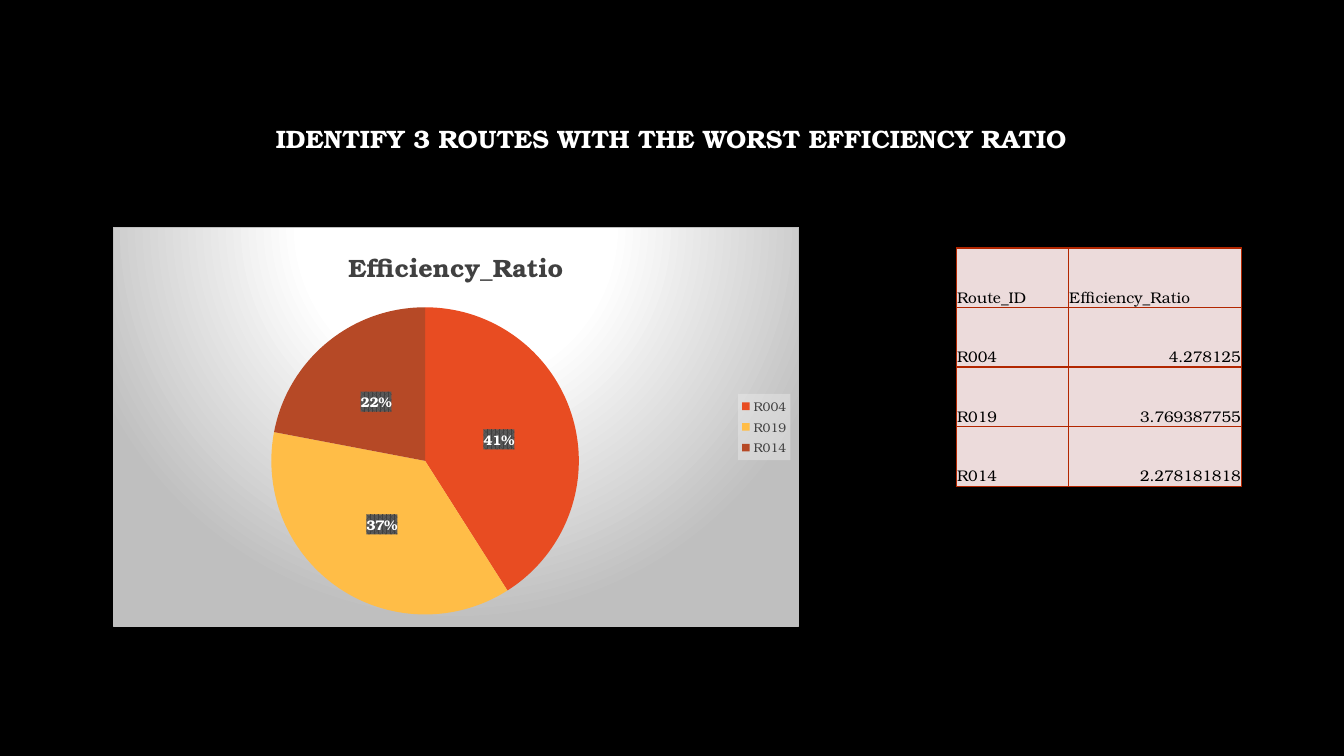
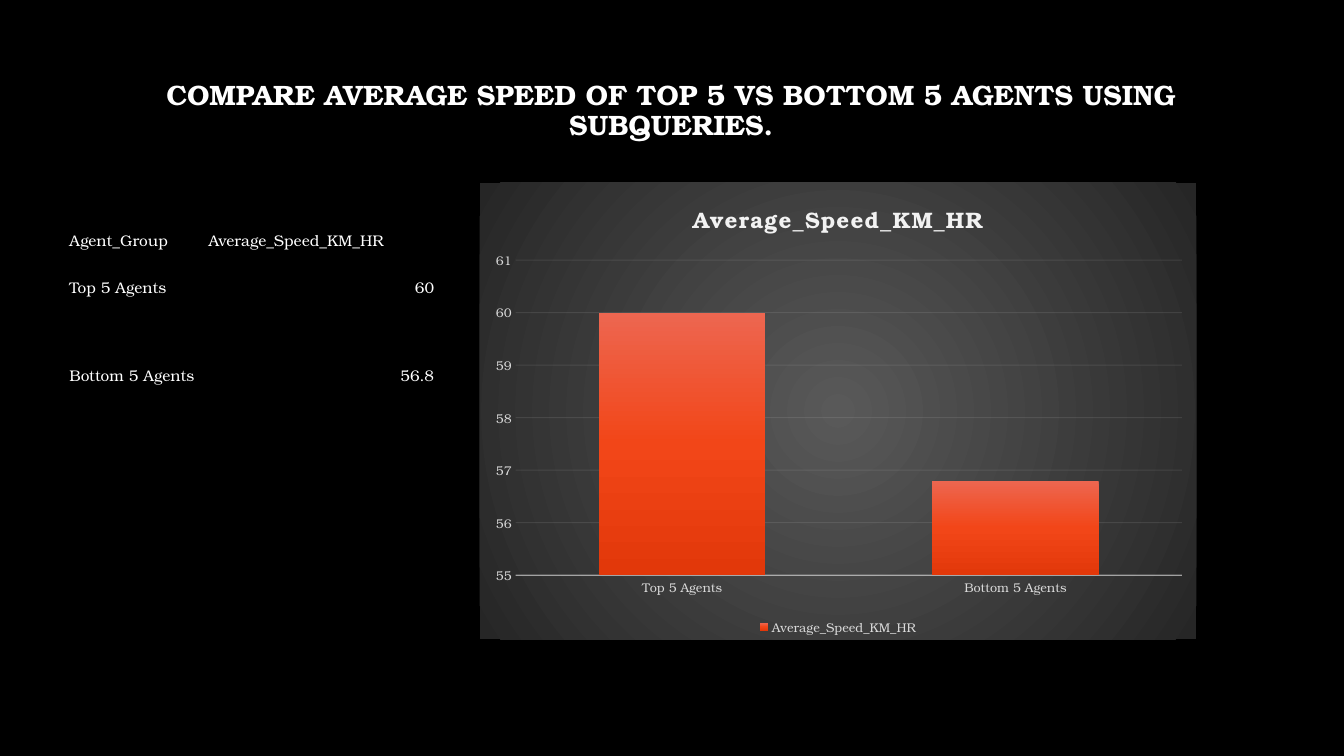
from lxml import etree
from pptx import Presentation
from pptx.chart.data import CategoryChartData
from pptx.dml.color import RGBColor
from pptx.enum import chart as ch, text
from pptx.oxml import ns, parse_xml
from pptx.util import Cm, Pt

FONT = "TeX Gyre Bonum"
BLACK = RGBColor(0x00, 0x00, 0x00)
WHITE = RGBColor(0xFF, 0xFF, 0xFF)
CHARCOAL = RGBColor(0x40, 0x40, 0x40)
SLATE = RGBColor(0x59, 0x59, 0x59)
NIGHT = RGBColor(0x26, 0x26, 0x26)
SILVER = RGBColor(0xBF, 0xBF, 0xBF)
LIGHT = RGBColor(0xD9, 0xD9, 0xD9)
PALE = RGBColor(0xF2, 0xF2, 0xF2)
PINK = RGBColor(0xEC, 0xDB, 0xDB)
RUST = RGBColor(0xB2, 0x26, 0x00)
SLICES = [RGBColor(0xE8, 0x4C, 0x22), RGBColor(0xFF, 0xBD, 0x47),
          RGBColor(0xB6, 0x49, 0x26)]
BAR_STOPS = [(0, RGBColor(0xED, 0x66, 0x50)), (50, RGBColor(0xF2, 0x46, 0x18)),
             (100, RGBColor(0xE2, 0x38, 0x0A))]
# Chart parts that must come after the shape properties
AFTER_FORMAT = {ns.qn(f"c:{tag}") for tag in (
    "txPr", "dLblPos", "showLegendKey", "crossAx", "externalData",
    "invertIfNegative", "cat")}


# Text
def set_font(font, size, color, bold=False):
    font.name, font.size, font.bold = FONT, Pt(size), bold
    font.color.rgb = color


def add_title(s, title, size, bottom=0.13):
    sp = s.shapes.title
    sp.left, sp.top, sp.width, sp.height = Cm(2.54), Cm(1.7), Cm(28.75), Cm(3.68)
    tf = sp.text_frame
    tf.text = title
    tf.auto_size = text.MSO_AUTO_SIZE.NONE
    tf.vertical_anchor = text.MSO_ANCHOR.MIDDLE
    tf.margin_bottom = Cm(bottom)
    p = tf.paragraphs[0]
    p.alignment, p.line_spacing = text.PP_ALIGN.CENTER, 0.9
    set_font(p.font, size, WHITE, bold=True)


# Tables
def set_borders(cell, color):
    tc_pr = cell._tc.get_or_add_tcPr()
    for side in ("lnL", "lnR", "lnT", "lnB"):
        ln = etree.SubElement(tc_pr, ns.qn(f"a:{side}"), w=str(Pt(1)))
        if color is None:
            etree.SubElement(ln, ns.qn("a:noFill"))
        else:
            fill = etree.SubElement(ln, ns.qn("a:solidFill"))
            etree.SubElement(fill, ns.qn("a:srgbClr"), val=str(color))


def add_table(s, left, top, widths, heights, rows, color, fill=None, border=None):
    table = s.shapes.add_table(len(rows), len(widths), Cm(left), Cm(top),
                               Cm(sum(widths)), Cm(sum(heights))).table
    table.first_row = table.horz_banding = False
    for column, width in zip(table.columns, widths):
        column.width = Cm(width)
    for i, (row, height) in enumerate(zip(rows, heights)):
        table.rows[i].height = Cm(height)
        for j, value in enumerate(row):
            cell = table.cell(i, j)
            set_borders(cell, border)
            if fill is None:
                cell.fill.background()
            else:
                cell.fill.solid()
                cell.fill.fore_color.rgb = fill
            cell.margin_left = cell.margin_right = cell.margin_top = Cm(0.02)
            cell.margin_bottom = 0
            cell.vertical_anchor = text.MSO_ANCHOR.BOTTOM
            cell.text = value
            p = cell.text_frame.paragraphs[0]
            if i and j:
                p.alignment = text.PP_ALIGN.RIGHT
            set_font(p.font, 11, color)


# Chart parts that need XML
def gradient(stops, direction):
    gs = "".join(f'<a:gs pos="{pos * 1000}"><a:srgbClr val="{color}"/></a:gs>'
                 for pos, color in stops)
    return f"<a:gradFill><a:gsLst>{gs}</a:gsLst>{direction}</a:gradFill>"


def radial(stops, top, bottom):
    return gradient(stops, '<a:path path="circle"><a:fillToRect l="50000" r="50000" '
                           f't="{top * 1000}" b="{bottom * 1000}"/></a:path>')


def solid(color, alpha=100):
    return (f'<a:solidFill><a:srgbClr val="{color}"><a:alpha val="{alpha * 1000}"/>'
            "</a:srgbClr></a:solidFill>")


def outline(fill="<a:noFill/>", width=0.75):
    return f'<a:ln w="{Pt(width)}">{fill}</a:ln>'


def add_format(chart, tag, xml):
    """Give the first chart part with this tag its shape properties."""
    part = next(chart.element.iter(ns.qn(tag)))
    for old in part.findall(ns.qn("c:spPr")):
        part.remove(old)
    sp_pr = parse_xml(f'<c:spPr {ns.nsdecls("c", "a")}>{xml}</c:spPr>')
    later = next((child for child in part if child.tag in AFTER_FORMAT), None)
    if later is None:
        part.append(sp_pr)
    else:
        later.addprevious(sp_pr)


def set_plot_layout(chart, x, y, w, h):
    plot_area = next(chart.element.iter(ns.qn("c:plotArea")))
    for old in plot_area.findall(ns.qn("c:layout")):
        plot_area.remove(old)
    layout = etree.Element(ns.qn("c:layout"))
    manual = etree.SubElement(layout, ns.qn("c:manualLayout"))
    for tag, value in (("layoutTarget", "inner"), ("xMode", "edge"), ("yMode", "edge"),
                       ("x", x), ("y", y), ("w", w), ("h", h)):
        etree.SubElement(manual, ns.qn(f"c:{tag}"), val=str(value))
    plot_area.insert(0, layout)


# Charts
def add_chart(s, kind, box, name, cats, vals, title_size, title_color,
              legend_pos, legend_color):
    data = CategoryChartData()
    data.categories = cats
    data.add_series(name, vals)
    chart = s.shapes.add_chart(kind, *map(Cm, box), data).chart
    set_font(chart.font, 10, WHITE)
    chart.has_title = True
    p = chart.chart_title.text_frame.paragraphs[0]
    r = p.add_run()
    r.text = name
    set_font(r.font, title_size, title_color, bold=True)
    chart.has_legend = True
    chart.legend.position = legend_pos
    chart.legend.include_in_layout = False
    set_font(chart.legend.font, 9, legend_color)
    return chart


def add_pie(s, box, name, cats, vals):
    chart = add_chart(s, ch.XL_CHART_TYPE.PIE, box, name, cats, vals, 18, CHARCOAL,
                      ch.XL_LEGEND_POSITION.RIGHT, CHARCOAL)
    series = chart.plots[0].series[0]
    for i, color in enumerate(SLICES):
        fill = series.points[i].format.fill
        fill.solid()
        fill.fore_color.rgb = color
    labels = series.data_labels
    labels.show_percentage, labels.show_value = True, False
    labels.number_format, labels.number_format_is_linked = "0%", False
    labels.position = ch.XL_LABEL_POSITION.CENTER
    set_font(labels.font, 10, WHITE, bold=True)
    add_format(chart, "c:dLbls",
               f'<a:pattFill prst="pct75"><a:fgClr><a:srgbClr val="{CHARCOAL}"/></a:fgClr>'
               f'<a:bgClr><a:srgbClr val="{SLATE}"/></a:bgClr></a:pattFill>' + outline())
    add_format(chart, "c:legend", solid(PALE, 39) + outline())
    add_format(chart, "c:chartSpace",
               radial([(0, WHITE), (39, WHITE), (100, SILVER)], -80, 180)
               + outline(solid(SILVER)))
    set_plot_layout(chart, 0.23, 0.2, 0.45, 0.77)


def add_columns(s, box, name, cats, vals):
    chart = add_chart(s, ch.XL_CHART_TYPE.COLUMN_CLUSTERED, box, name, cats, vals, 16, PALE,
                      ch.XL_LEGEND_POSITION.BOTTOM, LIGHT)
    title = next(chart.element.iter(ns.qn("c:title")))
    next(title.iter(ns.qn("a:rPr"))).set("spc", "100")
    plot = chart.plots[0]
    plot.vary_by_categories = False
    plot.gap_width, plot.overlap = 100, -24
    add_format(chart, "c:ser", gradient(BAR_STOPS, '<a:lin ang="5400000" scaled="0"/>'))
    for axis in (chart.category_axis, chart.value_axis):
        axis.major_tick_mark = axis.minor_tick_mark = ch.XL_TICK_MARK.NONE
        set_font(axis.tick_labels.font, 9, LIGHT)
    axis = chart.value_axis
    axis.minimum_scale, axis.maximum_scale, axis.major_unit = 55, 61, 1
    axis.has_major_gridlines = True
    add_format(chart, "c:majorGridlines", outline(solid(PALE, 10)))
    add_format(chart, "c:valAx", outline())
    add_format(chart, "c:catAx", outline(solid(PALE, 54), 1))
    add_format(chart, "c:chartSpace", radial([(0, SLATE), (100, NIGHT)], 50, 50) + outline())
    set_plot_layout(chart, 0.05, 0.17, 0.93, 0.69)


def main():
    prs = Presentation()
    prs.slide_width, prs.slide_height = Cm(33.87), Cm(19.05)
    background = prs.slide_master.background.fill
    background.solid()
    background.fore_color.rgb = BLACK
    title_only = prs.slide_layouts[5]

    # Worst routes
    s = prs.slides.add_slide(title_only)
    add_title(s, "IDENTIFY 3 ROUTES WITH THE WORST EFFICIENCY RATIO", 18)
    add_table(s, 24.1, 6.25, [2.82, 4.37], [1.5] * 4,
              [("Route_ID", "Efficiency_Ratio"), ("R004", "4.278125"),
               ("R019", "3.769387755"), ("R014", "2.278181818")],
              BLACK, PINK, RUST)
    add_pie(s, (2.84, 5.72, 17.3, 10.08), "Efficiency_Ratio",
            ["R004", "R019", "R014"], [41, 37, 22])

    # Agent speeds
    s = prs.slides.add_slide(title_only)
    add_title(s, "COMPARE AVERAGE SPEED OF TOP 5 VS BOTTOM 5 AGENTS USING SUBQUERIES.", 20,
              bottom=1.6)
    add_table(s, 1.73, 5.16, [3.51, 5.72], [1.17, 1.17, 2.21],
              [("Agent_Group", "Average_Speed_KM_HR"), ("Top 5 Agents", "60"),
               ("Bottom 5 Agents", "56.8")], WHITE)
    add_columns(s, (12.09, 4.6, 18.06, 11.51), "Average_Speed_KM_HR",
                ["Top 5 Agents", "Bottom 5 Agents"], [60, 56.8])

    prs.save("out.pptx")


if __name__ == "__main__":
    main()
